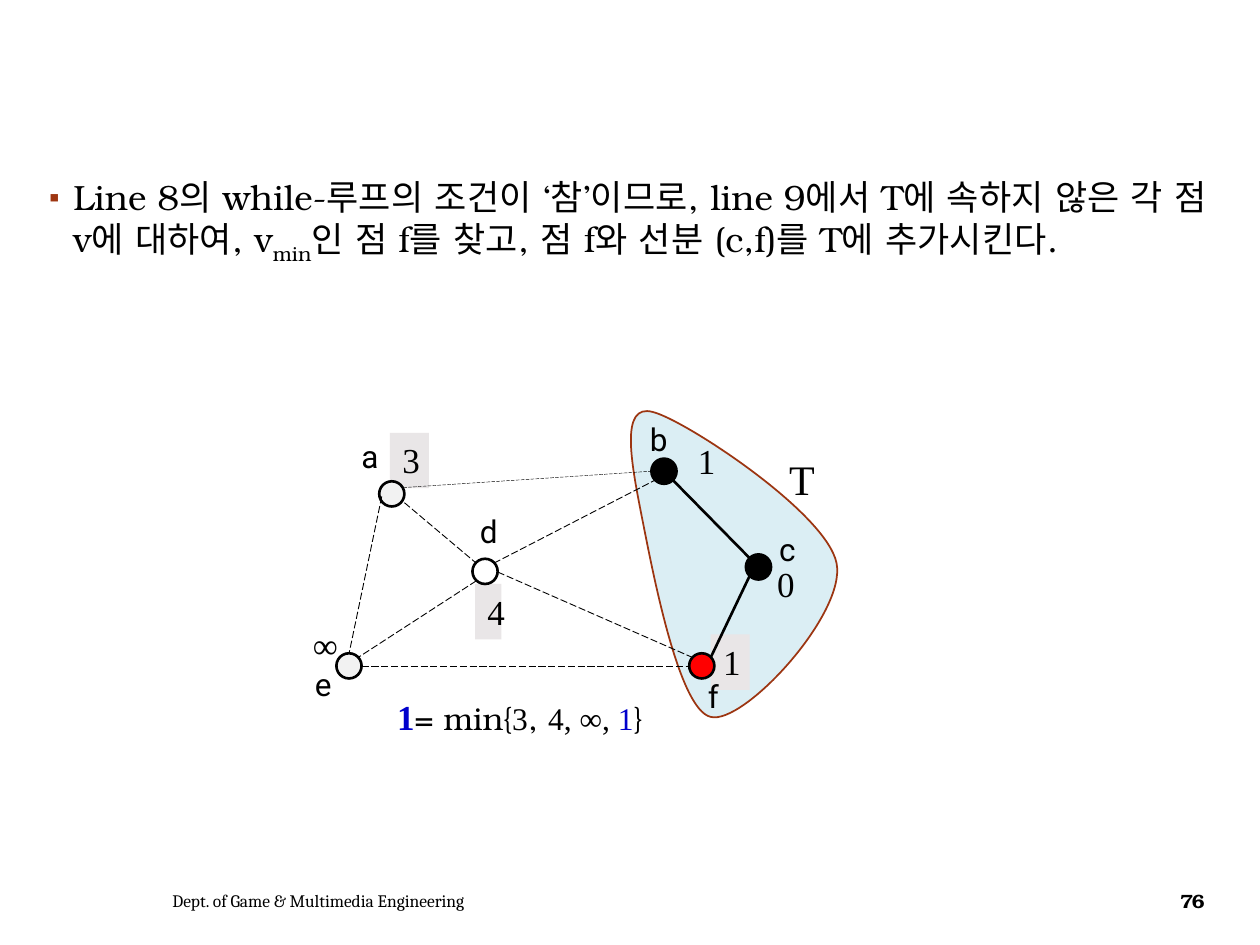
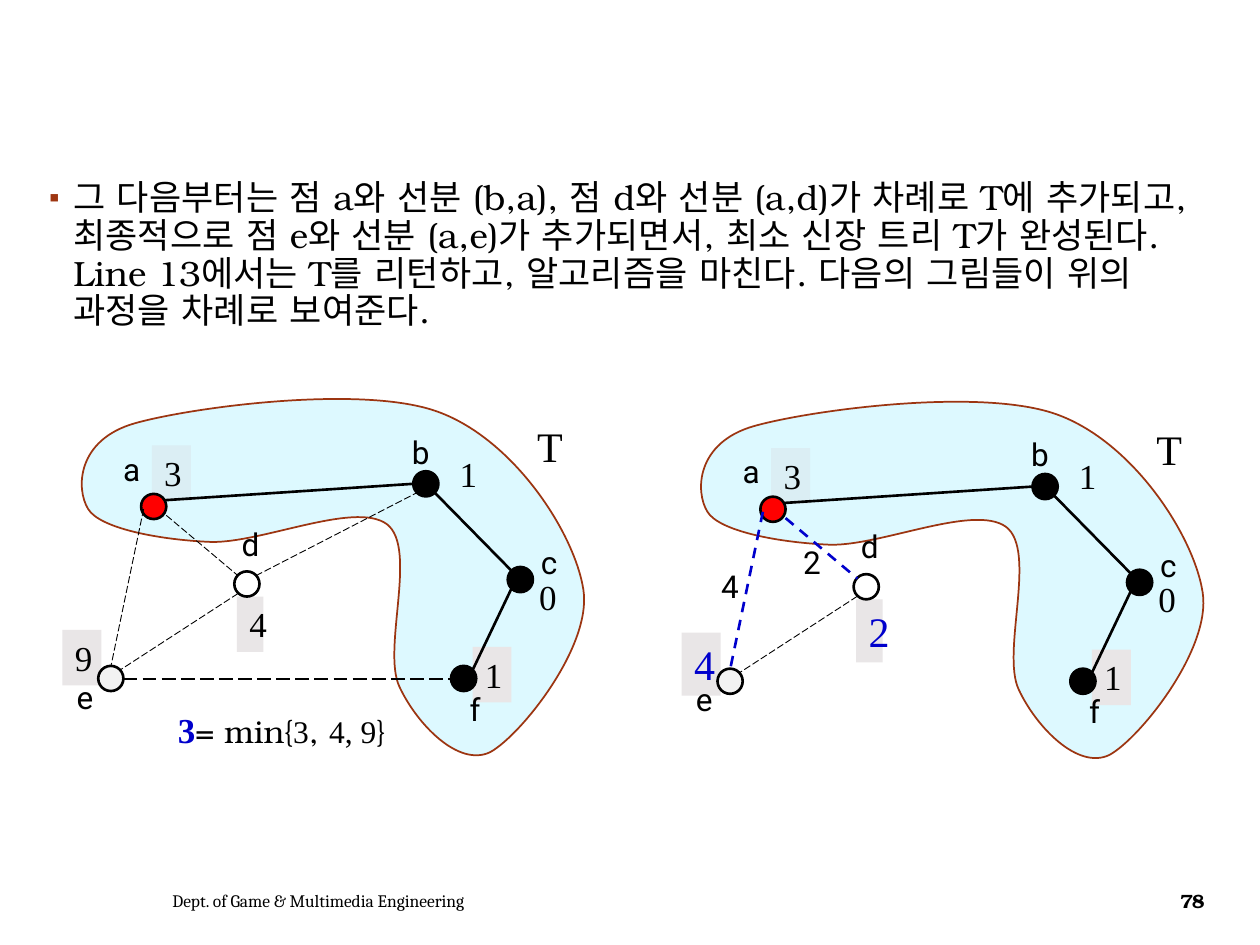
import pptx
import pptx.util
import pptx.dml.color
import pptx.enum.dml
import pptx.enum.shapes
import pptx.enum.text
import pptx.oxml.ns
import lxml.etree

RGB = pptx.dml.color.RGBColor
Pt = pptx.util.Pt
SHAPE = pptx.enum.shapes.MSO_SHAPE
ALIGN = pptx.enum.text.PP_ALIGN
ANCHOR = pptx.enum.text.MSO_ANCHOR
DASH = pptx.enum.dml.MSO_LINE
qn = pptx.oxml.ns.qn

BLACK = RGB(0x00, 0x00, 0x00)
WHITE = RGB(0xFF, 0xFF, 0xFF)
PALE = RGB(0xF2, 0xF2, 0xF2)
RED = RGB(0xFF, 0x00, 0x00)
BLUE = RGB(0x00, 0x00, 0xCC)
GREY = RGB(0xE9, 0xE6, 0xE7)
ICE = RGB(0xDB, 0xEE, 0xF4)
SKY = RGB(0xDD, 0xF9, 0xFF)
RUST = RGB(0x9C, 0x35, 0x11)
BULLET = RGB(0x9E, 0x36, 0x11)
SERIF, SANS, BODY, FOOT = "Times New Roman", "Roboto", "TeX Gyre Bonum", "Cambria"

prs = pptx.Presentation()
prs.slide_width = pptx.util.Inches(10)
prs.slide_height = pptx.util.Inches(7.5)
UNIT = prs.slide_width // 100
HEIGHTS = {18: 4, 20: 4.4, 24: 5}


def emu(*lengths):
    return [round(v * UNIT) for v in lengths]


def label(s, x, y, w, h, runs, align=ALIGN.CENTER, anchor=ANCHOR.TOP, fill=None):
    if fill is None:
        sp = s.shapes.add_textbox(*emu(x, y, w, h))
    else:
        sp = s.shapes.add_shape(SHAPE.RECTANGLE, *emu(x, y, w, h))
        sp.shadow.inherit = False
        sp.line.fill.background()
        sp.fill.solid()
        sp.fill.fore_color.rgb = fill
    tf = sp.text_frame
    tf.word_wrap = True
    tf.vertical_anchor = anchor
    p = tf.paragraphs[0]
    p.alignment = align
    for text, font, size, color, bold in runs:
        r = p.add_run()
        r.text = text
        r.font.name, r.font.size, r.font.bold = font, Pt(size), bold
        r.font.color.rgb = color
    return p


NODES = {"a": (31.1, 39.2), "b": (52.7, 37.4), "c": (60.2, 45),
         "d": (38.5, 45.35), "e": (27.7, 52.85), "f": (55.7, 52.85)}
LETTERS = {"a": (27.7, 34.2), "b": (50.6, 32.85), "c": (60.85, 41.6),
           "d": (37.1, 40.15), "e": (24, 52.3), "f": (55.2, 53.25)}
VALUES = {"a": (30.95, 34.35, 3.1), "b": (54.4, 34.4, 3.1), "c": (60.7, 44.15, 3.1),
          "d": (37.7, 46.35, 2.1), "e": (23.85, 49, 3.1), "f": (56.4, 50.35, 3.1)}
EDGES = {"de": (37.8, 46.1, 28.4, 52.2), "ae": (30.3, 39.4, 27.7, 51.9),
         "df": (39.5, 45.4, 55, 52.2), "ef": (28.7, 52.9, 54.7, 52.9),
         "ab": (32, 38.7, 51.7, 37.4), "bd": (39.2, 44.7, 52, 38.1),
         "bc": (59.5, 44.3, 53.4, 38.1), "cf": (56.4, 52.2, 59.5, 45.7),
         "ad": (32.1, 39.9, 37.8, 44.7)}

HAIR = (0.25, DASH.LONG_DASH, BLACK)
THIN = (0.5, DASH.LONG_DASH, BLACK)
MEDIUM = (1, DASH.LONG_DASH, BLACK)
TREE = (1.5, None, BLACK)
UPDATED = (1.5, DASH.DASH, BLUE)

TREE_BCF = [(56.4, 56.9), (53.8, 56.3, 51.7, 44.8, 50.9, 40.8),
            (50.1, 36.7, 49.2, 32, 51.8, 32.7), (54.3, 33.3, 65.6, 40.7, 66.4, 44.7),
            (67.2, 48.7, 59, 57.6, 56.4, 56.9)]
TREE_ABCF = [(25.9, 39.4), (24.9, 37.8, 25, 33.9, 29.6, 32.6),
             (34.2, 31.3, 47.8, 29.5, 53.7, 31.7), (59.7, 33.9, 64.5, 41.3, 65.2, 45.8),
             (65.9, 50.3, 60.2, 57.4, 57.8, 58.7), (55.3, 59.9, 52, 56.5, 50.6, 53.5),
             (49.2, 50.5, 52.1, 42.5, 49.6, 40.6), (47, 38.7, 39.3, 42.3, 35.3, 42),
             (31.3, 41.8, 26.8, 40.9, 25.9, 39.4)]

find_f = dict(
    shift=(0, 0), region=TREE_BCF, region_fill=ICE, tree_at=(60.9, 35.5),
    fills=dict(a=PALE, b=BLACK, c=BLACK, d=WHITE, e=PALE, f=RED),
    edges=dict(de=THIN, ae=THIN, df=THIN, ef=THIN, ab=HAIR, bd=THIN, bc=TREE, cf=TREE, ad=THIN),
    values=dict(a="3", f="1", d="4", c="0", e="∞", b="1"),
    boxes=dict(a=GREY, d=GREY, f=GREY), changed="", weights=[],
    formula=[("1", SERIF, 20, BLUE, True), ("= min{", BODY, 18, BLACK, False),
             ("3", SERIF, 18, BLACK, False), (", ", BODY, 18, BLACK, False),
             ("4, ∞, ", SERIF, 18, BLACK, False), ("1", SERIF, 18, BLUE, False),
             ("}", BODY, 18, BLACK, False)])
add_a = dict(
    shift=(-18.9, 1), region=TREE_ABCF, region_fill=SKY, tree_at=(59.8, 31.9),
    fills=dict(a=RED, b=BLACK, c=BLACK, d=WHITE, e=PALE, f=BLACK),
    edges=dict(de=THIN, ae=THIN, ef=MEDIUM, ab=TREE, bd=THIN, bc=TREE, cf=TREE, ad=THIN),
    values=dict(e="9", a="3", f="1", d="4", c="0", b="1"),
    boxes=dict(a=ICE, d=GREY, e=GREY, f=GREY), changed="", weights=[],
    formula=[("3", SERIF, 20, BLUE, True), ("= min{", BODY, 18, BLACK, False),
             ("3", SERIF, 18, BLACK, False), (", ", BODY, 18, BLACK, False),
             ("4, 9", SERIF, 18, BLACK, False), ("}", BODY, 18, BLACK, False)])
update_d_e = dict(
    add_a, shift=(30.25, 1.22), formula=[], changed="de",
    edges=dict(de=THIN, ae=UPDATED, ab=TREE, bc=TREE, cf=TREE, ad=UPDATED),
    values=dict(e="4", a="3", f="1", d="2", c="0", b="1"),
    weights=[("2", 32.5, 41.4), ("4", 26, 43.3)])

slides = [
    ("76", [("Line 8의 while-루프의 조건이 ‘참’이므로, line 9에서 T에 속하지 않은 각 점 v에 대하여, v", False),
            ("min", True),
            ("인 점 f를 찾고, 점 f와 선분 (c,f)를 T에 추가시킨다.", False)],
     [find_f]),
    ("78", [("그 다음부터는 점 a와 선분 (b,a), 점 d와 선분 (a,d)가 차례로 T에 추가되고, "
             "최종적으로 점 e와 선분 (a,e)가 추가되면서, 최소 신장 트리 T가 완성된다. "
             "Line 13에서는 T를 리턴하고, 알고리즘을 마친다. "
             "다음의 그림들이 위의 과정을 차례로 보여준다.", False)],
     [add_a, update_d_e]),
]

for number, sentence, graphs in slides:
    s = prs.slides.add_slide(prs.slide_layouts[1])
    title = s.shapes.title.element
    title.getparent().remove(title)
    body = s.placeholders[1]
    body.left, body.top, body.width, body.height = emu(2.9, 13.8, 94.3, 53.7)
    tf = body.text_frame
    tf.auto_size = pptx.enum.text.MSO_AUTO_SIZE.NONE
    p = tf.paragraphs[0]
    p.line_spacing = 0.9
    p.space_before = Pt(0)
    pPr = p._p.get_or_add_pPr()
    indent = emu(1.92)[0]
    pPr.set("marL", str(indent))
    pPr.set("indent", str(-indent))
    buClr = lxml.etree.SubElement(pPr, qn("a:buClr"))
    lxml.etree.SubElement(buClr, qn("a:srgbClr")).set("val", str(BULLET))
    lxml.etree.SubElement(pPr, qn("a:buSzPct")).set("val", "85000")
    lxml.etree.SubElement(pPr, qn("a:buChar")).set("char", "▪")
    for text, subscript in sentence:
        r = p.add_run()
        r.text = text
        r.font.name, r.font.size = BODY, Pt(20)
        r.font.color.rgb = BLACK
        rPr = r._r.get_or_add_rPr()
        lxml.etree.SubElement(rPr, qn("a:ea")).set("typeface", BODY)
        if subscript:
            rPr.set("baseline", "-25000")

    for g in graphs:
        dx, dy = g["shift"]

        start, *curves = g["region"]
        points = [start]
        for x1, y1, x2, y2, x3, y3 in curves:
            x0, y0 = points[-1]
            for step in range(1, 21):
                t = step / 20
                u = 1 - t
                points.append((
                    u**3 * x0 + 3 * u * u * t * x1 + 3 * u * t * t * x2 + t**3 * x3,
                    u**3 * y0 + 3 * u * u * t * y1 + 3 * u * t * t * y2 + t**3 * y3))
        outline = [emu(x + dx, y + dy) for x, y in points]
        builder = s.shapes.build_freeform(*outline[0])
        builder.add_line_segments(outline[1:], close=True)
        sp = builder.convert_to_shape()
        curve_path = next(sp._element.iter(qn("a:path")))
        for lnTo in curve_path.findall(qn("a:lnTo")):
            curve_path.remove(lnTo)
        close = curve_path.find(qn("a:close"))
        for curve in curves:
            bezier = lxml.etree.Element(qn("a:cubicBezTo"))
            for x, y in zip(curve[::2], curve[1::2]):
                px, py = emu(x + dx, y + dy)
                pt = lxml.etree.SubElement(bezier, qn("a:pt"))
                pt.set("x", str(px - sp.left))
                pt.set("y", str(py - sp.top))
            close.addprevious(bezier)
        sp.shadow.inherit = False
        sp.fill.solid()
        sp.fill.fore_color.rgb = g["region_fill"]
        sp.line.color.rgb = RUST
        sp.line.width = Pt(1)

        for name, fill in g["boxes"].items():
            x, y, w = VALUES[name]
            size, color = (24, BLUE) if name in g["changed"] else (20, BLACK)
            label(s, x + dx, y + dy, w, HEIGHTS[size],
                  [(g["values"][name], SERIF, size, color, False)], fill=fill)

        for name, (x, y) in NODES.items():
            sp = s.shapes.add_shape(SHAPE.OVAL, *emu(x + dx - 1, y + dy - 1, 2, 2))
            sp.shadow.inherit = False
            sp.fill.solid()
            sp.fill.fore_color.rgb = g["fills"][name]
            sp.line.color.rgb = BLACK
            sp.line.width = Pt(1.5)

        for name, (width, dash, color) in g["edges"].items():
            x1, y1, x2, y2 = EDGES[name]
            edge = s.shapes.add_connector(pptx.enum.shapes.MSO_CONNECTOR.STRAIGHT,
                                          *emu(x1 + dx, y1 + dy, x2 + dx, y2 + dy))
            edge.line.width = Pt(width)
            edge.line.color.rgb = color
            if dash is not None:
                edge.line.dash_style = dash
            lxml.etree.SubElement(edge._element.spPr, qn("a:effectLst"))

        letters = [(name, x, y) for name, (x, y) in LETTERS.items()]
        for text, x, y in letters + g["weights"]:
            label(s, x + dx, y + dy, 3.4, HEIGHTS[18],
                  [(text, SANS, 18, BLACK, False)], ALIGN.LEFT)

        for name, value in g["values"].items():
            if name not in g["boxes"]:
                x, y, w = VALUES[name]
                label(s, x + dx, y + dy, w, HEIGHTS[20], [(value, SERIF, 20, BLACK, False)])

        x, y = g["tree_at"]
        label(s, x + dx, y + dy, 5.5, HEIGHTS[24], [("T", SERIF, 24, BLACK, False)])
        if g["formula"]:
            label(s, 27.4 + dx, 54.7 + dy, 27.7, HEIGHTS[20], g["formula"])

    label(s, 12.7, 69.5, 45.9, 4,
          [("Dept. of Game & Multimedia Engineering", FOOT, 10, BLACK, False)],
          ALIGN.LEFT, ANCHOR.MIDDLE)
    p = label(s, 92, 69.5, 5.3, 4, [(number, BODY, 11, BLACK, True)], anchor=ANCHOR.MIDDLE)
    p.runs[0]._r.get_or_add_rPr().set("spc", "-70")

prs.save("out.pptx")
